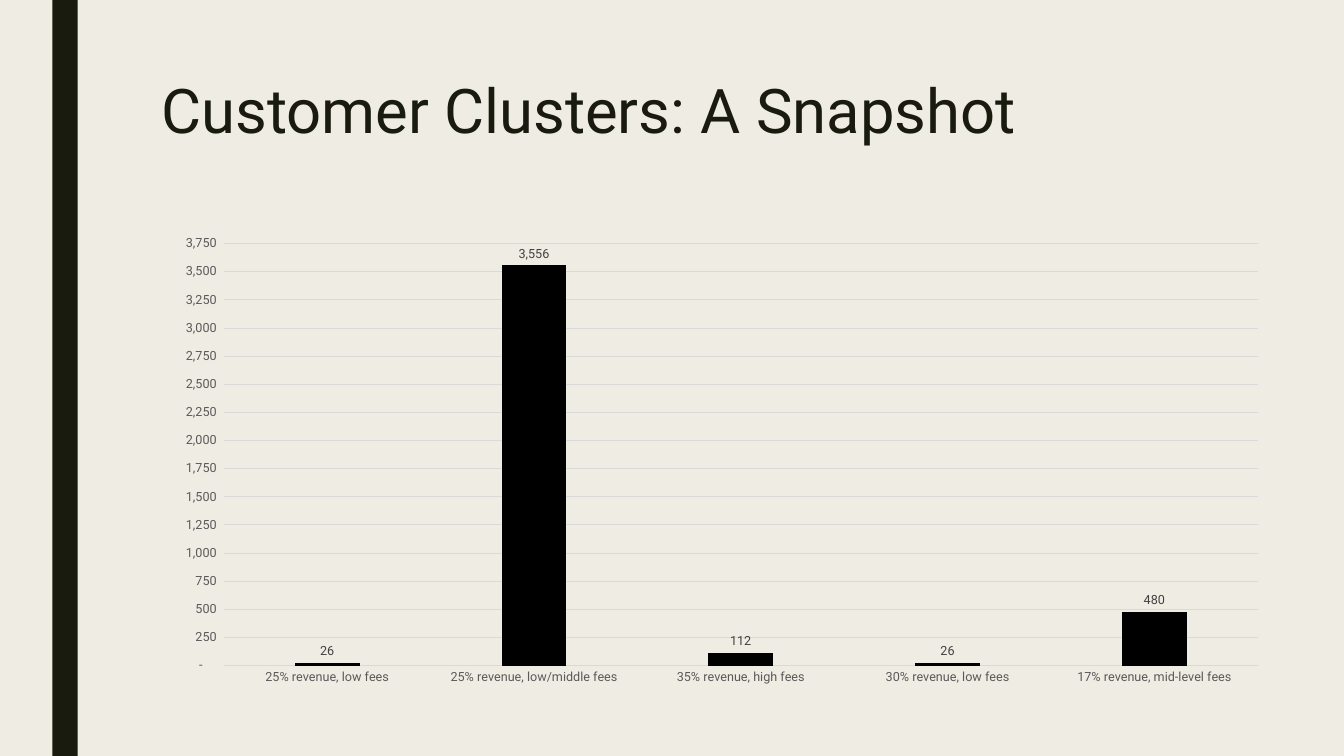
from dataclasses import dataclass

from pptx import Presentation
from pptx.chart.chart import Chart
from pptx.chart.data import CategoryChartData
from pptx.dml.color import RGBColor
from pptx.dml.line import LineFormat
from pptx.enum.chart import XL_CHART_TYPE, XL_LABEL_POSITION, XL_TICK_LABEL_POSITION, XL_TICK_MARK
from pptx.enum.shapes import MSO_SHAPE
from pptx.enum.text import MSO_ANCHOR, MSO_AUTO_SIZE, PP_ALIGN
from pptx.slide import Slide
from pptx.text.text import Font
from pptx.util import Cm, Pt

COLOURS = {
    "background": "EFEDE3",
    "ink": "191B0E",
    "column": "000000",
    "axis": "595959",
    "grid": "D9D9D9",
    "label": "404040",
}
FONT_NAME = "Roboto"
COUNT_FORMAT = r'_(* #,##0_);_(* \(#,##0\);_(* "-"??_);_('


@dataclass(frozen=True)
class Cluster:
    name: str
    customers: int


CLUSTERS = [
    Cluster("25% revenue, low fees", 26),
    Cluster("25% revenue, low/middle fees", 3556),
    Cluster("35% revenue, high fees", 112),
    Cluster("30% revenue, low fees", 26),
    Cluster("17% revenue, mid-level fees", 480),
]


def colour(name: str) -> RGBColor:
    return RGBColor.from_string(COLOURS[name])


def style_font(font: Font, size: float, colour_name: str) -> None:
    font.name = FONT_NAME
    font.size = Pt(size)
    font.bold = False
    font.color.rgb = colour(colour_name)


def style_line(line: LineFormat) -> None:
    line.color.rgb = colour("grid")
    line.width = Pt(0.75)


def add_side_bar(slide: Slide, height: int) -> None:
    bar = slide.shapes.add_shape(MSO_SHAPE.RECTANGLE, Cm(1.32), Cm(0), Cm(0.64), height)
    bar.shadow.inherit = False
    bar.fill.solid()
    bar.fill.fore_color.rgb = colour("ink")
    bar.line.fill.background()


def write_title(slide: Slide, text: str) -> None:
    title = slide.shapes.title
    title.left, title.top, title.width, title.height = Cm(3.81), Cm(1.9), Cm(28.75), Cm(4.11)
    frame = title.text_frame
    frame.word_wrap = True
    frame.auto_size = MSO_AUTO_SIZE.NONE
    frame.vertical_anchor = MSO_ANCHOR.TOP
    paragraph = frame.paragraphs[0]
    paragraph.alignment = PP_ALIGN.LEFT
    paragraph.line_spacing = 0.89
    run = paragraph.add_run()
    run.text = text
    style_font(run.font, 44, "ink")


def style_axes(chart: Chart) -> None:
    for axis in (chart.category_axis, chart.value_axis):
        axis.major_tick_mark = XL_TICK_MARK.NONE
        axis.minor_tick_mark = XL_TICK_MARK.NONE
        axis.tick_label_position = XL_TICK_LABEL_POSITION.NEXT_TO_AXIS
        style_font(axis.tick_labels.font, 9, "axis")
    chart.category_axis.has_major_gridlines = False
    style_line(chart.category_axis.format.line)

    value_axis = chart.value_axis
    value_axis.minimum_scale = 0
    value_axis.maximum_scale = 3750
    value_axis.major_unit = 250
    value_axis.has_major_gridlines = True
    style_line(value_axis.major_gridlines.format.line)
    value_axis.format.line.fill.background()
    value_axis.tick_labels.number_format = COUNT_FORMAT
    value_axis.tick_labels.number_format_is_linked = False


def style_columns(chart: Chart) -> None:
    plot = chart.plots[0]
    plot.vary_by_categories = False
    plot.gap_width = 219
    plot.overlap = -27
    series = plot.series[0]
    series.format.fill.solid()
    series.format.fill.fore_color.rgb = colour("column")
    labels = series.data_labels
    labels.show_value = True
    labels.position = XL_LABEL_POSITION.OUTSIDE_END
    labels.number_format = COUNT_FORMAT
    labels.number_format_is_linked = False
    style_font(labels.font, 9, "label")


def add_cluster_chart(slide: Slide, clusters: list[Cluster]) -> None:
    data = CategoryChartData(number_format=COUNT_FORMAT)
    data.categories = [cluster.name for cluster in clusters]
    data.add_series("Series 1", [cluster.customers for cluster in clusters])
    frame = slide.shapes.add_chart(
        XL_CHART_TYPE.COLUMN_CLUSTERED, Cm(4.04), Cm(5.72), Cm(28.22), Cm(11.76), data
    )
    chart = frame.chart
    chart.has_title = False
    chart.has_legend = False
    style_font(chart.font, 10, "column")
    style_axes(chart)
    style_columns(chart)


def main() -> None:
    presentation = Presentation()
    presentation.slide_width = Cm(33.87)
    presentation.slide_height = Cm(19.05)
    slide = presentation.slides.add_slide(presentation.slide_layouts[5])
    slide.background.fill.solid()
    slide.background.fill.fore_color.rgb = colour("background")
    add_side_bar(slide, presentation.slide_height)
    write_title(slide, "Customer Clusters: A Snapshot")
    add_cluster_chart(slide, CLUSTERS)
    presentation.save("out.pptx")


if __name__ == "__main__":
    main()
